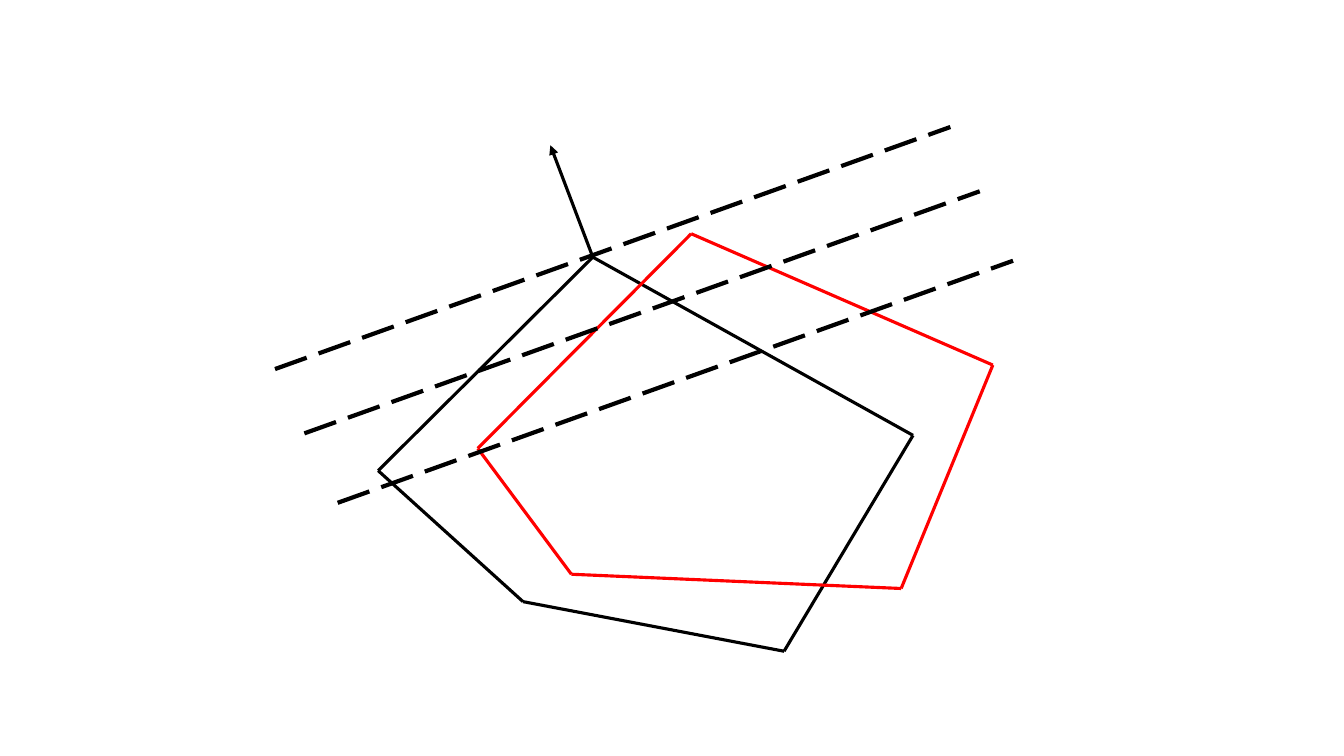
from itertools import pairwise

from pptx import Presentation
from pptx.dml.color import RGBColor
from pptx.enum.dml import MSO_LINE_DASH_STYLE as Dash
from pptx.enum.shapes import MSO_CONNECTOR as Connector
from pptx.oxml.ns import qn
from pptx.util import Cm, Pt
from lxml.etree import SubElement

BLACK = RGBColor(0x00, 0x00, 0x00)
RED = RGBColor(0xFF, 0x00, 0x00)

BLACK_ORIGIN = (9.53, 6.48)
BLACK_CORNERS = [(5.41, 0), (0, 5.38), (3.65, 8.68), (10.23, 9.93), (13.48, 4.49)]
RED_ORIGIN = (12.04, 5.89)
RED_CORNERS = [(5.38, 0), (0, 5.41), (2.36, 8.58), (10.67, 8.94), (12.98, 3.31)]
NORMAL = (-1.07, -2.82)
SUPPORT_START = (6.93, 9.3)
INNER_STARTS = [(7.67, 10.92), (8.51, 12.67)]
SUPPORT_SPAN = (17.02, -6.1)


def shift(point, offset):
    return point[0] + offset[0], point[1] + offset[1]


def add_line(slide, start, end, color=BLACK, width=2.25, dash=None, arrow=False):
    ends = [Cm(length) for length in (*start, *end)]
    segment = slide.shapes.add_connector(Connector.STRAIGHT, *ends)
    segment.line.color.rgb = color
    segment.line.width = Pt(width)
    if dash is not None:
        segment.line.dash_style = dash
    if arrow:
        SubElement(segment.line._get_or_add_ln(), qn("a:tailEnd"), type="triangle")
    SubElement(segment._element.spPr, qn("a:effectLst"))


def add_polygon(slide, origin, corners, color):
    outline = [shift(corner, origin) for corner in corners]
    for start, end in pairwise(outline + outline[:1]):
        add_line(slide, start, end, color)


def add_normal(slide, origin, apex):
    foot = shift(apex, origin)
    add_line(slide, foot, shift(foot, NORMAL), arrow=True)


def add_support_line(slide, start):
    add_line(slide, start, shift(start, SUPPORT_SPAN), width=3, dash=Dash.LONG_DASH)


def build_polygon_slide(deck):
    slide = deck.slides.add_slide(deck.slide_layouts[6])
    add_polygon(slide, BLACK_ORIGIN, BLACK_CORNERS, BLACK)
    add_normal(slide, BLACK_ORIGIN, BLACK_CORNERS[0])
    add_support_line(slide, SUPPORT_START)
    add_polygon(slide, RED_ORIGIN, RED_CORNERS, RED)
    for start in INNER_STARTS:
        add_support_line(slide, start)


def main():
    deck = Presentation()
    deck.slide_width = Cm(33.87)
    deck.slide_height = Cm(19.05)
    build_polygon_slide(deck)
    deck.save("out.pptx")


if __name__ == "__main__":
    main()
